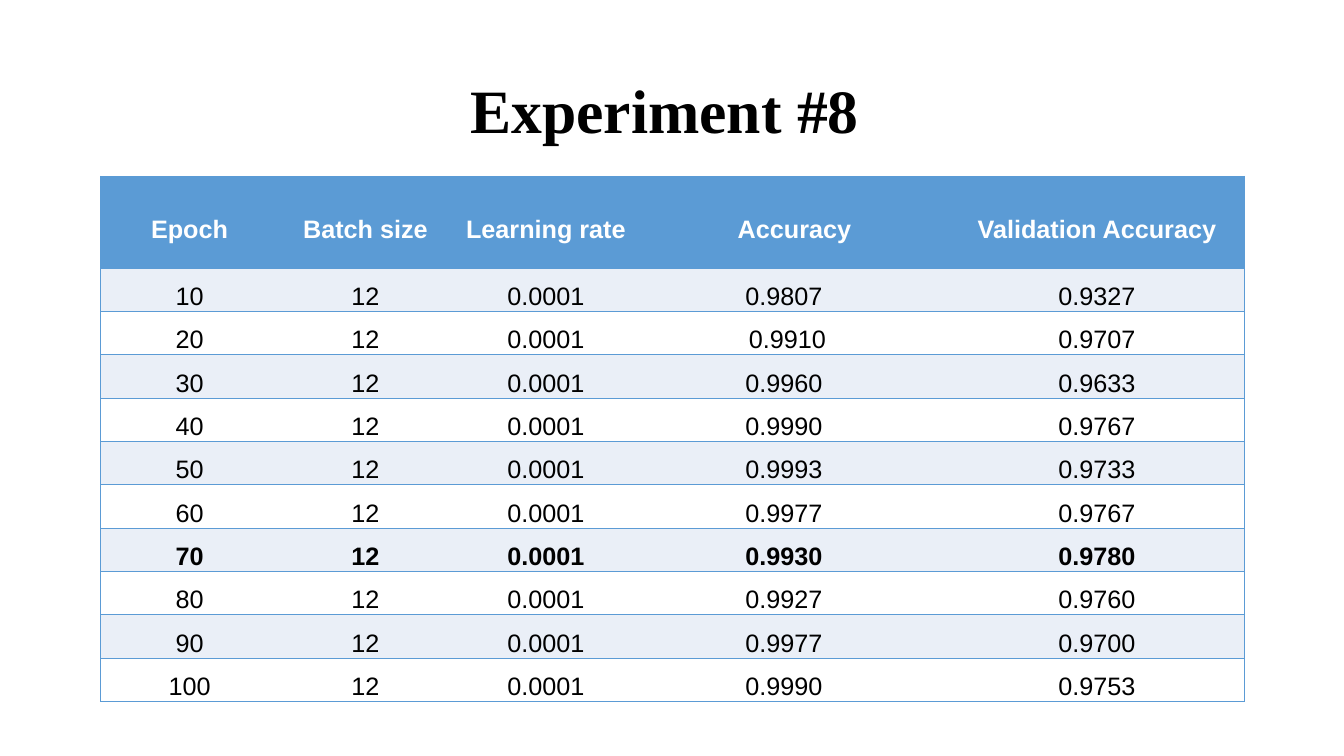
from lxml import etree
from pptx import Presentation
from pptx.dml.color import RGBColor
from pptx.enum.text import MSO_ANCHOR, PP_ALIGN
from pptx.oxml.ns import qn
from pptx.util import Inches, Pt

CENTER, MIDDLE = PP_ALIGN.CENTER, MSO_ANCHOR.MIDDLE
COLORS = {"blue": "5B9BD5", "band": "EAEFF7", "white": "FFFFFF", "black": "000000"}

HEADERS = ["Epoch", "Batch size", "Learning rate", "Accuracy", "Validation Accuracy"]
BATCH_SIZE, LEARNING_RATE = "12", "0.0001"
RESULTS = [
    ("10", "0.9807", "0.9327"),
    ("20", "0.9910", "0.9707"),
    ("30", "0.9960", "0.9633"),
    ("40", "0.9990", "0.9767"),
    ("50", "0.9993", "0.9733"),
    ("60", "0.9977", "0.9767"),
    ("70", "0.9930", "0.9780"),
    ("80", "0.9927", "0.9760"),
    ("90", "0.9977", "0.9700"),
    ("100", "0.9990", "0.9753"),
]
BEST_EPOCH = "70"
COL_WIDTHS = [1.76, 1.73, 1.85, 3.08, 2.92]
HEADER_HEIGHT, ROW_HEIGHT = 0.91, 0.43
ACCURACY_COL = 3


def rgb(name):
    return RGBColor.from_string(COLORS[name])


def style_paragraph(p, font, size, color, bold, spacing):
    p.alignment = CENTER
    p.line_spacing = spacing
    p.font.name = font
    p.font.size = Pt(size)
    p.font.bold = bold
    p.font.color.rgb = rgb(color)


def add_title(s, text, left, top, width, height):
    sp = s.shapes.title
    sp.left, sp.top, sp.width, sp.height = map(Inches, (left, top, width, height))
    tf = sp.text_frame
    tf.text = text
    tf.word_wrap = True
    tf.vertical_anchor = MIDDLE
    tf.margin_right = Inches(0.25)
    style_paragraph(tf.paragraphs[0], "Times New Roman", 44, "black", True, 0.9)


def set_borders(cell, sides):
    """Draw the sides named in sides (L, R, T, B) and clear the others."""
    tc_pr = cell._tc.get_or_add_tcPr()
    for i, side in enumerate("LRTB"):
        ln = etree.Element(qn("a:ln" + side), w=str(Pt(1)))
        if side in sides:
            fill = etree.SubElement(ln, qn("a:solidFill"))
            etree.SubElement(fill, qn("a:srgbClr"), val=COLORS["blue"])
        else:
            etree.SubElement(ln, qn("a:noFill"))
        tc_pr.insert(i, ln)


def fill_cell(cell, text, fill, color, bold, sides, right_margin):
    cell.text = text
    cell.vertical_anchor = MIDDLE
    cell.margin_left, cell.margin_right = Inches(0.07), Inches(right_margin)
    cell.margin_top = cell.margin_bottom = 0
    cell.fill.solid()
    cell.fill.fore_color.rgb = rgb(fill)
    p = cell.text_frame.paragraphs[0]
    style_paragraph(p, "Arial", 18, color, bold, 1.5)
    p.space_after = Pt(5.3)
    set_borders(cell, sides)


def add_results_table(s, left, top):
    rows = [HEADERS] + [
        [epoch, BATCH_SIZE, LEARNING_RATE, accuracy, validation]
        for epoch, accuracy, validation in RESULTS
    ]
    heights = [HEADER_HEIGHT] + [ROW_HEIGHT] * len(RESULTS)
    box = map(Inches, (left, top, sum(COL_WIDTHS), sum(heights)))
    table = s.shapes.add_table(len(rows), len(HEADERS), *box).table
    table.horz_banding = False
    for column, width in zip(table.columns, COL_WIDTHS):
        column.width = Inches(width)
    for r, (row, height) in enumerate(zip(rows, heights)):
        table.rows[r].height = Inches(height)
        header = r == 0
        fill = "blue" if header else "band" if r % 2 else "white"
        color = "white" if header else "black"
        bold = header or row[0] == BEST_EPOCH
        for c, text in enumerate(row):
            sides = "TB" + ("L" if c == 0 else "R" if c == len(row) - 1 else "")
            right_margin = 0.07
            if c == ACCURACY_COL and not header:
                right_margin = 0.21 if row[0] == "20" else 0.28
            fill_cell(table.cell(r, c), text, fill, color, bold, sides, right_margin)


def main():
    prs = Presentation()
    prs.slide_width, prs.slide_height = Inches(13.33), Inches(7.5)
    s = prs.slides.add_slide(prs.slide_layouts[5])
    add_title(s, "Experiment #8", 0.92, 0.4, 11.5, 1.45)
    add_results_table(s, 1, 1.75)
    prs.save("out.pptx")


if __name__ == "__main__":
    main()
